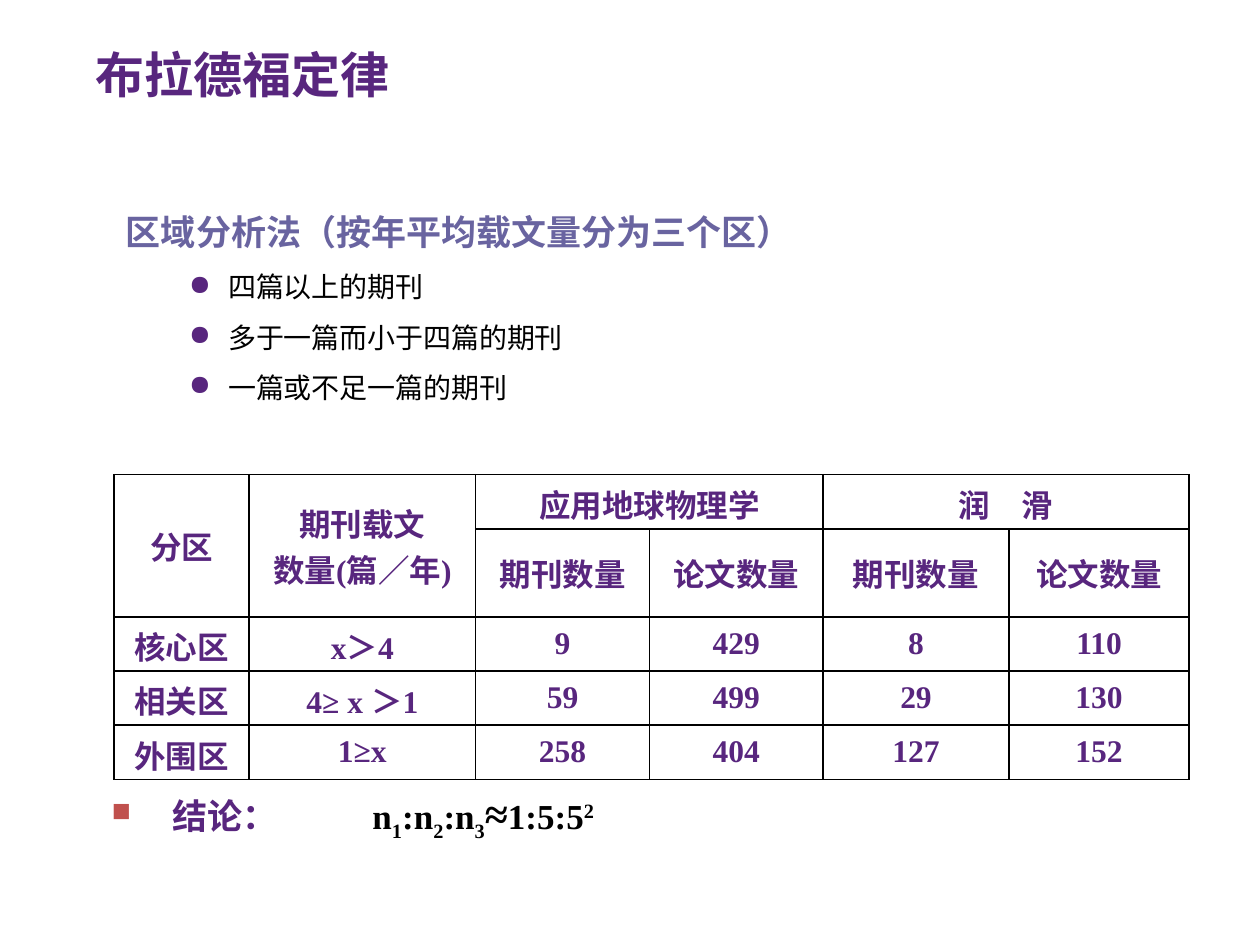
from lxml.etree import SubElement
from pptx import Presentation
from pptx.dml.color import RGBColor
from pptx.enum.text import MSO_ANCHOR, PP_ALIGN
from pptx.oxml.ns import qn
from pptx.util import Cm, Pt

COLORS = {"purple": "58267E", "violet": "6964A0", "black": "000000", "red": "C0504D"}
SERIF, SANS, CJK = "Times New Roman", "Calibri", "Noto Sans CJK SC"

TITLE = "布拉德福定律"
METHOD = "区域分析法（按年平均载文量分为三个区）"
ZONES = ["四篇以上的期刊", "多于一篇而小于四篇的期刊", "一篇或不足一篇的期刊"]
ROWS = [
    ["分区", "期刊载文\n数量(篇／年)", "应用地球物理学", "", "润　滑", ""],
    ["", "", "期刊数量", "论文数量", "期刊数量", "论文数量"],
    ["核心区", "x＞4", "9", "429", "8", "110"],
    ["相关区", "4≥ x ＞1", "59", "499", "29", "130"],
    ["外围区", "1≥x", "258", "404", "127", "152"],
]
MERGES = [((0, 0), (1, 0)), ((0, 1), (1, 1)), ((0, 2), (0, 3)), ((0, 4), (0, 5))]
COLUMN_WIDTHS = [2.72, 4.57, 3.5, 3.5, 3.75, 3.63]
ROW_HEIGHT = 1.09
RATIO = [("n", 20, 0), ("1", 20, -25), (":n", 20, 0), ("2", 20, -25), (":n", 20, 0),
         ("3", 20, -25), ("≈", 24, 0), ("1:5:5", 20, 0), ("2", 20, 30)]


def add_text(paragraph, text, size=18, font=SERIF, color="purple", bold=True, baseline=0):
    run = paragraph.add_run()
    run.text = text
    run.font.size = Pt(size)
    run.font.name = font
    run.font.bold = bold
    run.font.color.rgb = RGBColor.from_string(COLORS[color])
    properties = run.font._element
    SubElement(properties, qn("a:ea"), typeface=CJK)
    if baseline:
        properties.set("baseline", str(baseline * 1000))


def add_box(slide, left, top, width, height):
    frame = slide.shapes.add_textbox(Cm(left), Cm(top), Cm(width), Cm(height)).text_frame
    frame.word_wrap = True
    return frame


def set_indent(paragraph, margin, first=0):
    properties = paragraph._p.get_or_add_pPr()
    properties.set("marL", str(Cm(margin)))
    properties.set("indent", str(Cm(first)))
    return properties


def add_bullet(properties, character, color, percent=100):
    holder = SubElement(properties, qn("a:buClr"))
    SubElement(holder, qn("a:srgbClr"), val=COLORS[color])
    SubElement(properties, qn("a:buSzPct"), val=str(percent * 1000))
    SubElement(properties, qn("a:buChar"), char=character)


def add_borders(cell):
    properties = cell._tc.get_or_add_tcPr()
    for side in ("lnL", "lnR", "lnT", "lnB"):
        line = SubElement(properties, qn(f"a:{side}"), w=str(Pt(1)))
        fill = SubElement(line, qn("a:solidFill"))
        SubElement(fill, qn("a:srgbClr"), val=COLORS["black"])


def add_title(slide):
    frame = add_box(slide, 1.68, 0.91, 23.72, 1.17)
    frame.vertical_anchor = MSO_ANCHOR.MIDDLE
    add_text(frame.paragraphs[0], TITLE, size=28, font=SANS)


def add_method(slide):
    frame = add_box(slide, 1.09, 3.73, 21.06, 4.55)
    frame.margin_left = frame.margin_right = Cm(0.18)
    frame.margin_top = frame.margin_bottom = Cm(0.1)
    heading = frame.paragraphs[0]
    heading.line_spacing = 1.5
    set_indent(heading, 1.27)
    add_text(heading, METHOD, size=20, font=CJK, color="violet")
    for zone in ZONES:
        paragraph = frame.add_paragraph()
        paragraph.level = 1
        paragraph.line_spacing = 1.5
        add_bullet(set_indent(paragraph, 3.33, -0.79), "●", "purple")
        add_text(paragraph, zone, size=16, font=CJK, color="black", bold=False)


def add_zone_table(slide):
    table = slide.shapes.add_table(
        len(ROWS), len(COLUMN_WIDTHS), Cm(2.3), Cm(9.57),
        Cm(sum(COLUMN_WIDTHS)), Cm(ROW_HEIGHT * len(ROWS))).table
    table.first_row = table.horz_banding = False
    for column, width in zip(table.columns, COLUMN_WIDTHS):
        column.width = Cm(width)
    for start, end in MERGES:
        table.cell(*start).merge(table.cell(*end))
    for row_index, values in enumerate(ROWS):
        table.rows[row_index].height = Cm(ROW_HEIGHT)
        for column_index, value in enumerate(values):
            cell = table.cell(row_index, column_index)
            add_borders(cell)
            cell.fill.background()
            cell.vertical_anchor = MSO_ANCHOR.MIDDLE
            if not value:
                continue
            frame = cell.text_frame
            for index, line in enumerate(value.split("\n")):
                paragraph = frame.add_paragraph() if index else frame.paragraphs[0]
                paragraph.alignment = PP_ALIGN.CENTER
                add_text(paragraph, line)


def add_conclusion(slide):
    paragraph = add_box(slide, 0.71, 15.75, 22.91, 1.24).paragraphs[0]
    paragraph.space_before = Pt(4)
    properties = set_indent(paragraph, 2.51, -1.22)
    add_bullet(properties, "■", "red", percent=75)
    tabs = SubElement(properties, qn("a:tabLst"))
    SubElement(tabs, qn("a:tab"), pos=str(Cm(6.55)), algn="l")
    add_text(paragraph, "结论：\t", size=20)
    for text, size, baseline in RATIO:
        add_text(paragraph, text, size=size, color="black", baseline=baseline)


def main():
    presentation = Presentation()
    presentation.slide_width, presentation.slide_height = Cm(25.4), Cm(19.05)
    slide = presentation.slides.add_slide(presentation.slide_layouts[6])
    add_title(slide)
    add_method(slide)
    add_zone_table(slide)
    add_conclusion(slide)
    presentation.save("out.pptx")


if __name__ == "__main__":
    main()
